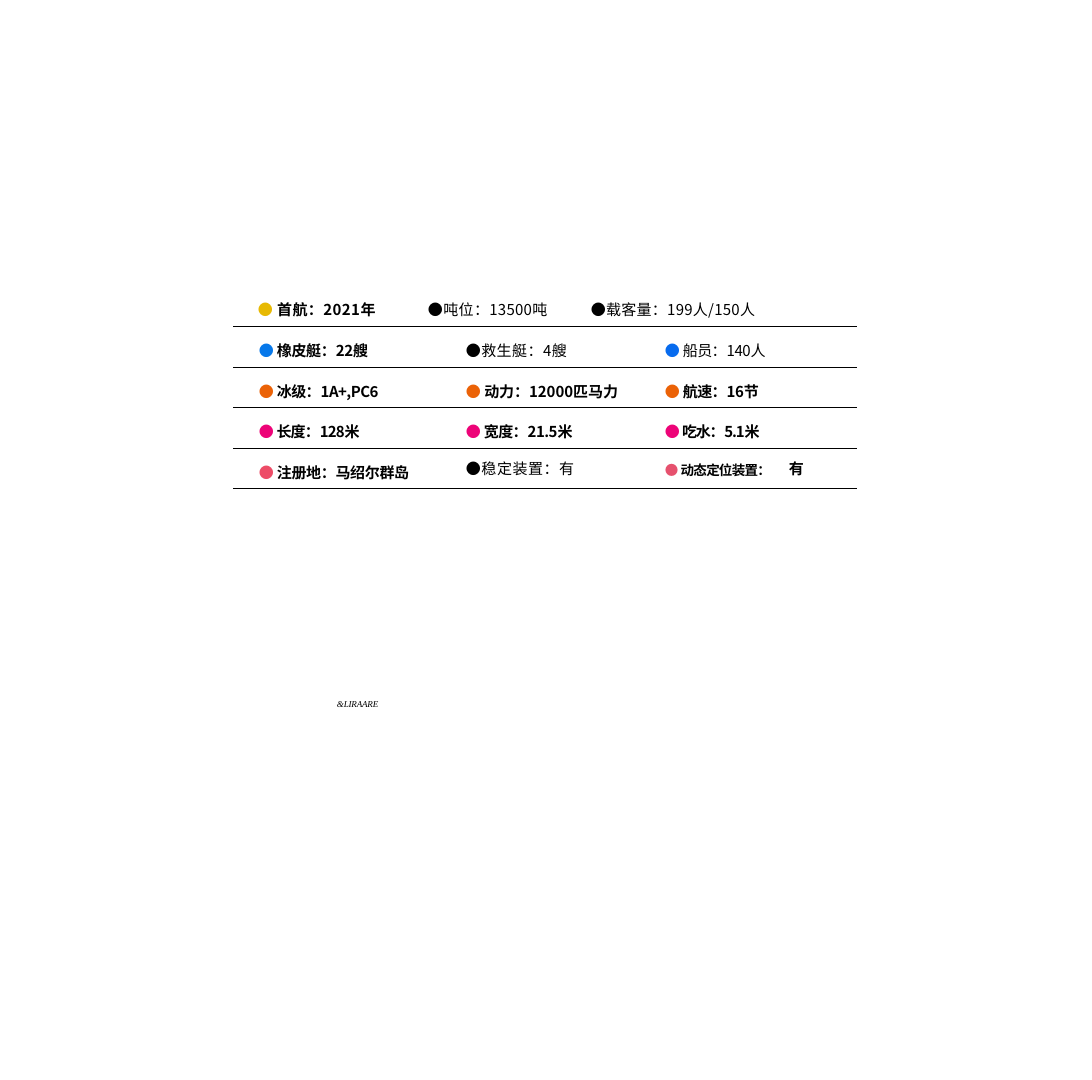
from lxml.etree import SubElement
from pptx import Presentation
from pptx.dml.color import RGBColor
from pptx.oxml.ns import qn
from pptx.util import Emu, Pt

COLORS = {
    "black": "000000", "gold": "E7B903", "blue": "0678EA", "crew": "076BEE",
    "orange": "EB6207", "pink": "ED0378", "coral": "ED4C67", "rose": "E6516E",
}
SANS = "Noto Sans CJK SC"
SERIF = "Times New Roman"


def px(length):
    return Emu(round(length * 914400 / 108))


def add_span(para, text, size=10, color="black", bold=False, italic=False,
             tracking=0, face=SANS):
    """Add a run; tracking is in hundredths of a point."""
    span = para.add_run()
    span.text = text
    font = span.font
    font.size, font.bold, font.italic, font.name = Pt(size), bold, italic, face
    font.color.rgb = RGBColor.from_string(COLORS[color])
    properties = font._element
    properties.set("spc", str(tracking))
    SubElement(properties, qn("a:ea")).set("typeface", face)


class ShipSheet:
    cell_top = 13
    rule_width = 0.5

    def __init__(self, page):
        self.page = page

    def text_line(self, left, top, width, height, spans, line_spacing, tabs=()):
        box = self.page.shapes.add_textbox(px(left), px(top), px(width), px(height))
        frame = box.text_frame
        frame.word_wrap = True
        frame.margin_left = frame.margin_right = 0
        frame.margin_top = frame.margin_bottom = 0
        para = frame.paragraphs[0]
        if tabs:
            tab_list = SubElement(para._p.get_or_add_pPr(), qn("a:tabLst"))
            for position in tabs:
                SubElement(tab_list, qn("a:tab"), pos=str(px(position)), algn="l")
        para.line_spacing = line_spacing
        for text, style in spans:
            add_span(para, text, **style)

    def rule_cell(self, cell):
        properties = cell._tc.get_or_add_tcPr()
        for side in ("L", "R"):
            line = SubElement(properties, qn(f"a:ln{side}"), w="0")
            SubElement(line, qn("a:noFill"))
        for side in ("T", "B"):
            line = SubElement(properties, qn(f"a:ln{side}"), w=str(Pt(self.rule_width)))
            fill = SubElement(line, qn("a:solidFill"))
            SubElement(fill, qn("a:srgbClr"), val=COLORS["black"])
        cell.fill.background()

    def table(self, left, top, widths, heights, indents, rows):
        frame = self.page.shapes.add_table(
            len(rows), len(widths), px(left), px(top), px(sum(widths)), px(sum(heights)))
        table = frame.table
        table.first_row = table.horz_banding = False
        for column, width in zip(table.columns, widths):
            column.width = px(width)
        for row, height, entries in zip(table.rows, heights, rows):
            row.height = px(height)
            for cell, indent, entry in zip(row.cells, indents, entries):
                cell.margin_left, cell.margin_top = px(indent), px(self.cell_top)
                cell.margin_right = cell.margin_bottom = 0
                self.rule_cell(cell)
                self.fill_cell(cell, **entry)

    def fill_cell(self, cell, label="", dot=None, bold=True, tracking=0,
                  size=10, line_spacing=None):
        para = cell.text_frame.paragraphs[0]
        if not label:
            para.font.size = Pt(7)
            return
        if line_spacing:
            para.line_spacing = line_spacing
        if dot:
            add_span(para, "● ", color=dot, size=size, tracking=tracking)
        add_span(para, label, bold=bold, size=size, tracking=tracking)


def main():
    deck = Presentation()
    deck.slide_width, deck.slide_height = px(1092), px(1080)
    sheet = ShipSheet(deck.slides.add_slide(deck.slide_layouts[6]))

    # Key figures above the table
    sheet.text_line(258, 300, 574, 20, [
        ("● ", dict(color="gold", tracking=30)),
        ("首航：2021年\t", dict(bold=True, tracking=30)),
        ("●吨位", dict(tracking=30)),
        ("：13500吨\t●载客量：199人/150人", dict(tracking=20)),
    ], Pt(12.6), tabs=(170, 333))

    # Ship specifications
    fixed = Pt(12.1)
    rows = [
        [dict(label="橡皮艇：22艘", dot="blue", tracking=-20),
         dict(label="●救生艇：4艘", bold=False, tracking=30),
         dict(label="船员：140人", dot="crew", bold=False, tracking=-30), {}],
        [dict(label="冰级：1A+,PC6", dot="orange", tracking=-30),
         dict(label="动力：12000匹马力", dot="orange"),
         dict(label="航速：16节", dot="orange", tracking=-30), {}],
        [dict(label="长度：128米", dot="pink", tracking=-50),
         dict(label="宽度：21.5米", dot="pink", tracking=-30),
         dict(label="吃水：5.1米", dot="pink", tracking=-80), {}],
        [dict(label="注册地：马绍尔群岛", dot="coral", tracking=-20),
         dict(label="●稳定装置：有", bold=False, tracking=40, line_spacing=fixed),
         dict(label="动态定位装置：", dot="rose", size=9, tracking=-50,
              line_spacing=fixed),
         dict(label="有", tracking=-20, line_spacing=fixed)],
    ]
    sheet.table(233, 326, (207, 201, 143, 73), (41, 40, 41, 40), (26, 26, 24, 5), rows)

    # Small mark below
    sheet.text_line(337, 701, 46, 11, [
        ("&LIRAARE", dict(size=6, italic=True, tracking=-10, face=SERIF)),
    ], 0.77)

    deck.save("out.pptx")


if __name__ == "__main__":
    main()
